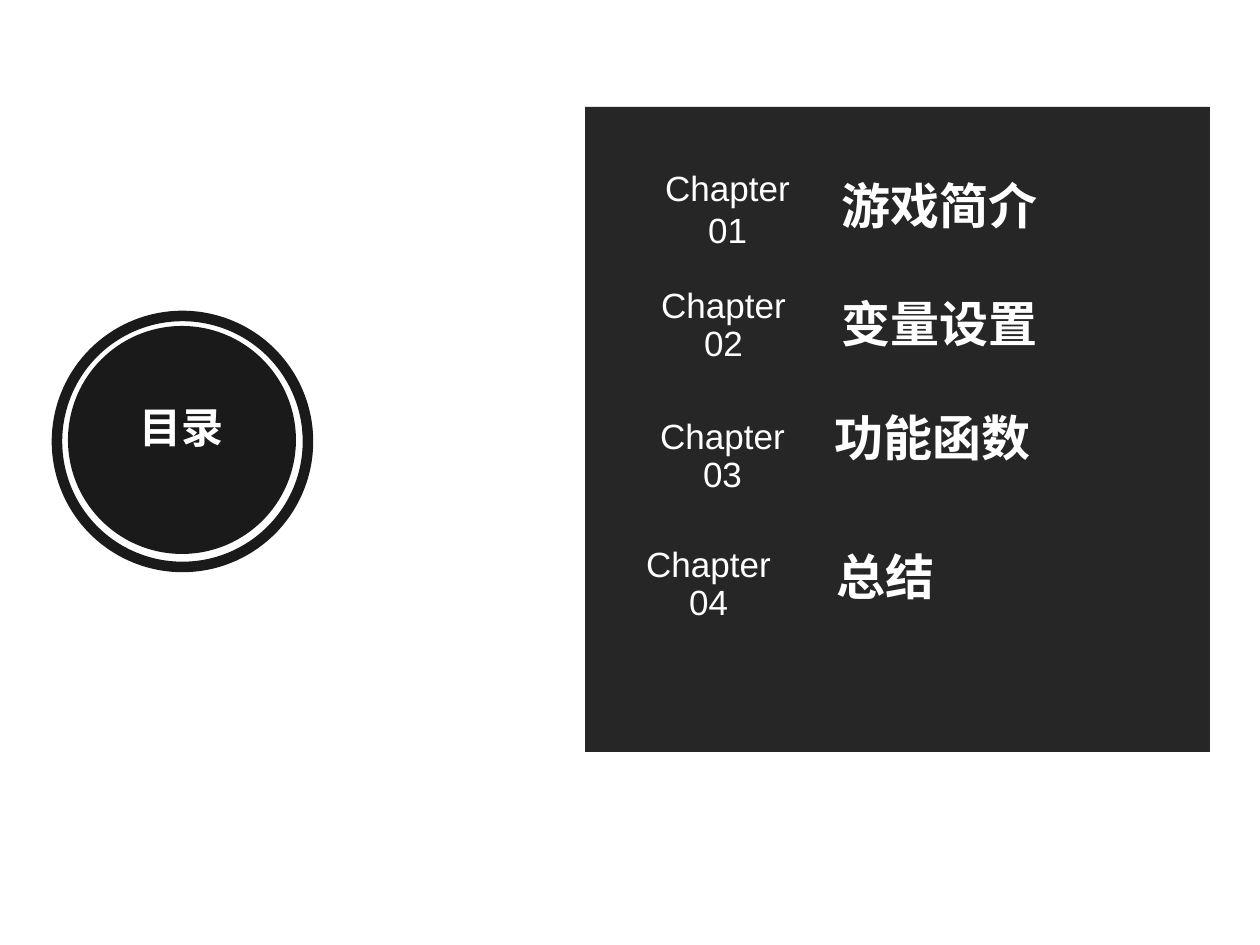
from pptx import Presentation
from pptx.dml.color import RGBColor
from pptx.enum.shapes import MSO_SHAPE as Shape
from pptx.enum.text import MSO_ANCHOR as Anchor, MSO_AUTO_SIZE as AutoSize, PP_ALIGN as Align
from pptx.util import Emu, Pt

PX = 914400 / 126
WHITE, DISC, PANEL = "FFFFFF", "1A1A1A", "262626"

# number, its offset in the panel, title, its offset in the panel
CHAPTERS = [
    ("Chapter 01", (44, 53), "游戏简介", (244, 68)),
    ("Chapter 02", (40, 175), "变量设置", (244, 187)),
    ("Chapter 03", (39, 306), "功能函数", (237, 301)),
    ("Chapter 04", (25, 434), "总结", (239, 440)),
]


def px(*lengths):
    return [Emu(round(length * PX)) for length in lengths]


def color(value):
    return RGBColor.from_string(value)


def add_block(page, kind, box, fill=None, line=None):
    block = page.shapes.add_shape(kind, *px(*box))
    block.shadow.inherit = False
    if fill:
        block.fill.solid()
        block.fill.fore_color.rgb = color(fill)
    else:
        block.fill.background()
    if line:
        block.line.color.rgb = color(line)
        block.line.width = Pt(6)
    else:
        block.line.fill.background()


def write(holder, text, size, bold=False, align=Align.LEFT, anchor=Anchor.TOP,
          spacing=0.9, before=10):
    frame = holder.text_frame
    frame.word_wrap = True
    frame.auto_size = AutoSize.SHAPE_TO_FIT_TEXT
    frame.vertical_anchor = anchor
    para = frame.paragraphs[0]
    para.text = text
    para.alignment = align
    para.line_spacing = spacing
    para.space_before = Pt(before)
    para.font.name = "Arial"
    para.font.size = Pt(size)
    para.font.bold = bold
    para.font.color.rgb = color(WHITE)


def add_badge(page, left, top):
    # Ring and disc
    add_block(page, Shape.OVAL, (left, top, 251, 251), line=DISC)
    add_block(page, Shape.OVAL, (left + 11, top + 10, 228, 228), fill=DISC)
    # Title, brought in front of the disc
    title = page.shapes.title
    title.left, title.top, title.width, title.height = px(left + 32, top + 85, 185, 58)
    write(title, "目录", 24, True, Align.CENTER, Anchor.MIDDLE)
    page.shapes._spTree.append(title._element)


def add_contents(page, left, top, width, height):
    add_block(page, Shape.RECTANGLE, (left, top, width, height), fill=PANEL)
    for index, (number, (nx, ny), name, (tx, ty)) in enumerate(CHAPTERS):
        # The first chapter is set looser and centred in its box
        first = index == 0
        anchor = Anchor.MIDDLE if first else Anchor.TOP
        number_box = page.shapes.add_textbox(*px(left + nx, top + ny, 197, 97 if first else 89))
        write(number_box, number, 20, align=Align.CENTER, anchor=anchor,
              spacing=1.0 if first else 0.9, before=0 if first else 10)
        name_box = page.shapes.add_textbox(*px(left + tx, top + ty, 339, 67))
        write(name_box, name, 28, bold=True, anchor=anchor)


def main():
    deck = Presentation()
    deck.slide_width, deck.slide_height = px(1260, 945)
    page = deck.slides.add_slide(deck.slide_layouts[5])
    add_contents(page, 585, 107, 625, 645)
    add_badge(page, 57, 316)
    deck.save("out.pptx")


if __name__ == "__main__":
    main()
